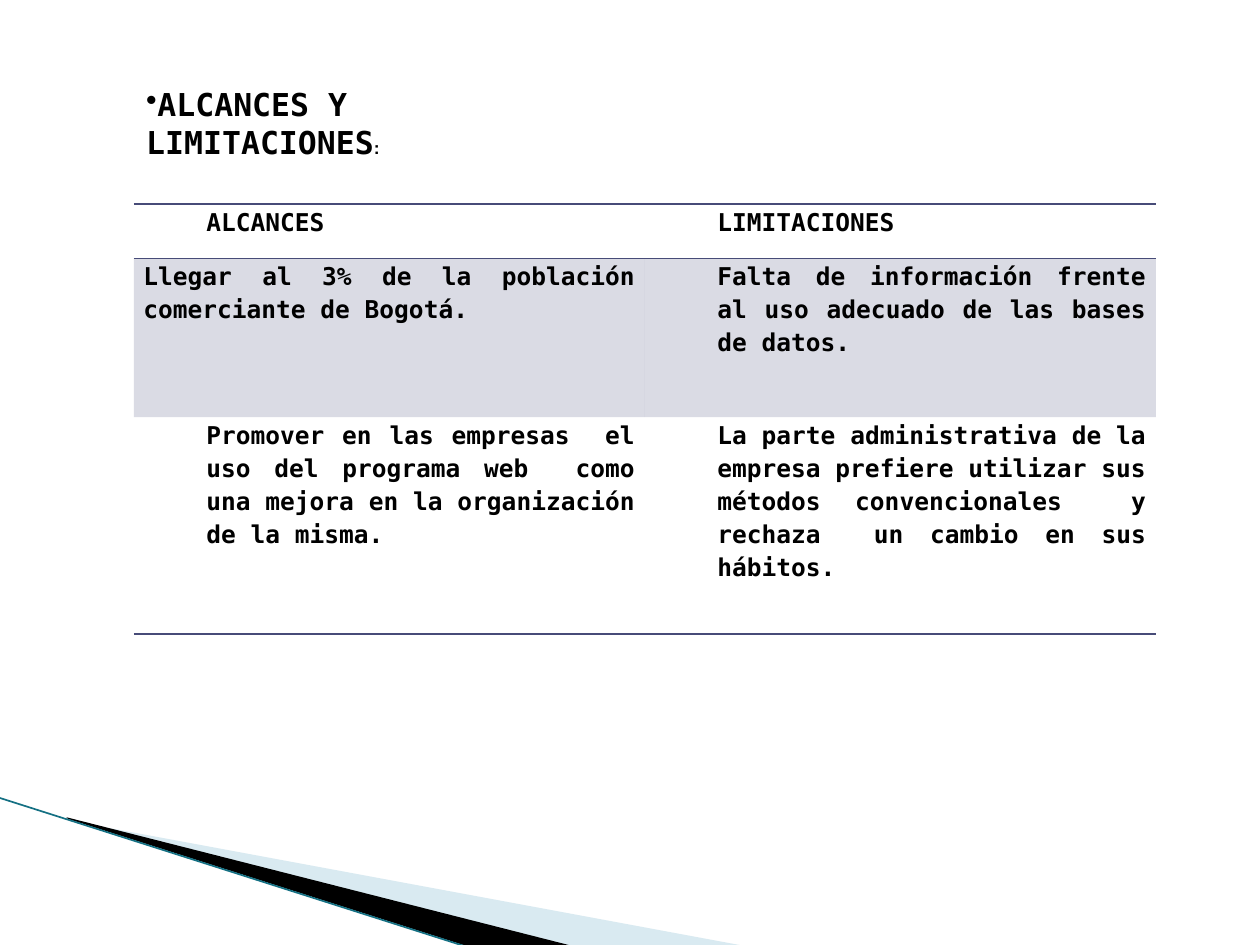
from typing import NamedTuple

from lxml import etree
from pptx import Presentation
from pptx.dml.color import RGBColor
from pptx.enum.shapes import MSO_CONNECTOR
from pptx.enum.text import MSO_ANCHOR, PP_ALIGN
from pptx.oxml.ns import qn
from pptx.util import Pt

STRAIGHT = MSO_CONNECTOR.STRAIGHT
MIDDLE = MSO_ANCHOR.MIDDLE
JUSTIFY = PP_ALIGN.JUSTIFY
MONO = "DejaVu Sans Mono"
BLACK, INDIGO, PALE_BLUE, TEAL = "000000", "474B78", "A0CBDC", "147083"
EMU_PER_POINT = 12700


class Wedge(NamedTuple):
    points: list[tuple[float, float]]
    color: str
    opacity: int


class Entry(NamedTuple):
    text: str
    indent: float = 36


class Row(NamedTuple):
    height: float
    entries: tuple[Entry, Entry]
    shaded: bool = False
    border_sides: tuple[str, ...] = ()


WEDGES = [
    Wedge([(39.6, 468.7), (428.4, 540.7), (328.3, 540.7), (39.6, 468)], PALE_BLUE, 40),
    Wedge([(38.2, 467.3), (329, 540.7), (267.8, 541.4), (38.9, 468)], BLACK, 100),
]
ROWS = [
    Row(30.9, (Entry("ALCANCES"), Entry("LIMITACIONES")), border_sides=("T", "B")),
    Row(90.8, (
        Entry("Llegar al 3% de la población comerciante de Bogotá.", 0),
        Entry("Falta de información frente al uso adecuado de las bases de datos."),
    ), shaded=True, border_sides=("T",)),
    Row(124, (
        Entry("Promover en las empresas  el uso del programa web  como una mejora "
              "en la organización de la misma."),
        Entry("La parte administrativa de la empresa prefiere utilizar sus métodos "
              "convencionales  y rechaza  un cambio en sus hábitos."),
    ), border_sides=("B",)),
]


def rgb(color: str) -> RGBColor:
    return RGBColor.from_string(color)


def paint(fill, color: str, opacity: int = 100) -> None:
    """Fill with one colour at an opacity in percent."""
    fill.solid()
    fill.fore_color.rgb = rgb(color)
    if opacity < 100:
        color_element = fill._xPr.find(qn("a:solidFill"))[0]
        etree.SubElement(color_element, qn("a:alpha"), val=str(opacity * 1000))


def style_font(font, size: float, name: str, bold: bool = True) -> None:
    font.size, font.name, font.bold = Pt(size), name, bold
    font.color.rgb = rgb(BLACK)


def draw_wedge(slide, wedge: Wedge) -> None:
    builder = slide.shapes.build_freeform(*wedge.points[0], scale=EMU_PER_POINT)
    builder.add_line_segments(wedge.points[1:], close=True)
    shape = builder.convert_to_shape()
    shape.shadow.inherit = False
    shape.line.fill.background()
    paint(shape.fill, wedge.color, wedge.opacity)


def draw_edge(slide) -> None:
    edge = slide.shapes.add_connector(STRAIGHT, Pt(-0.7), Pt(455.8), Pt(267.8), Pt(541.4))
    edge.line.color.rgb = rgb(TEAL)
    edge.line.width = Pt(0.95)
    etree.SubElement(edge._element.spPr, qn("a:effectLst"))


def set_borders(cell, visible_sides: tuple[str, ...]) -> None:
    properties = cell._tc.get_or_add_tcPr()
    for side in "LRTB":
        border = etree.SubElement(properties, qn(f"a:ln{side}"), w=str(Pt(1)))
        if side in visible_sides:
            fill = etree.SubElement(border, qn("a:solidFill"))
            etree.SubElement(fill, qn("a:srgbClr"), val=INDIGO)
        else:
            etree.SubElement(border, qn("a:noFill"))


def fill_cell(cell, entry: Entry, row: Row) -> None:
    cell.margin_left = cell.margin_right = Pt(5.4)
    cell.margin_top = cell.margin_bottom = 0
    set_borders(cell, row.border_sides)
    if row.shaded:
        paint(cell.fill, INDIGO, 20)
    else:
        cell.fill.background()
    paragraph = cell.text_frame.paragraphs[0]
    paragraph.text = entry.text
    paragraph.alignment = JUSTIFY
    paragraph.line_spacing = 1.15
    paragraph._p.get_or_add_pPr().set("marL", str(Pt(entry.indent)))
    style_font(paragraph.font, 14, MONO)


def draw_table(slide) -> None:
    height = sum(row.height for row in ROWS)
    table = slide.shapes.add_table(
        len(ROWS), 2, Pt(76.5), Pt(116.7), Pt(584), Pt(height)).table
    table.first_row = table.horz_banding = False
    for table_row, row in zip(table.rows, ROWS):
        table_row.height = Pt(row.height)
        for cell, entry in zip(table_row.cells, row.entries):
            fill_cell(cell, entry, row)


def draw_heading(slide) -> None:
    frame = slide.shapes.add_textbox(Pt(76.5), Pt(55.5), Pt(230.4), Pt(51)).text_frame
    frame.word_wrap = True
    frame.vertical_anchor = MIDDLE
    frame.margin_top, frame.margin_bottom = 0, Pt(21.7)
    paragraph = frame.paragraphs[0]
    etree.SubElement(paragraph._p.get_or_add_pPr(), qn("a:buChar"), char="•")
    for text, size, name in (("ALCANCES Y LIMITACIONES", 18, MONO), (":", 10, "Arial")):
        run = paragraph.add_run()
        run.text = text
        style_font(run.font, size, name)


def main() -> None:
    presentation = Presentation()
    presentation.slide_width, presentation.slide_height = Pt(720), Pt(540)
    slide = presentation.slides.add_slide(presentation.slide_layouts[6])
    for wedge in WEDGES:
        draw_wedge(slide, wedge)
    draw_edge(slide)
    draw_table(slide)
    draw_heading(slide)
    presentation.save("out.pptx")


if __name__ == "__main__":
    main()
